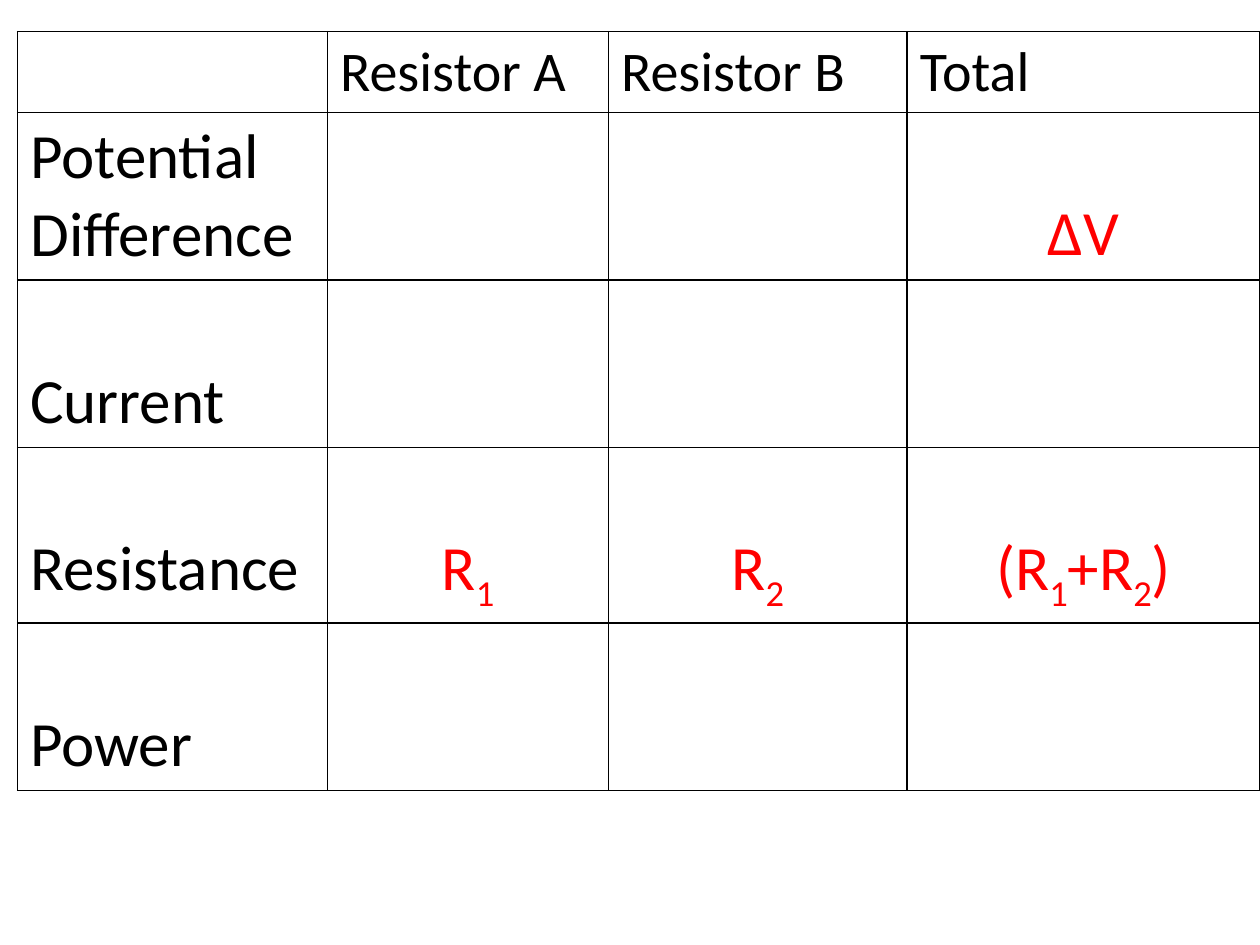
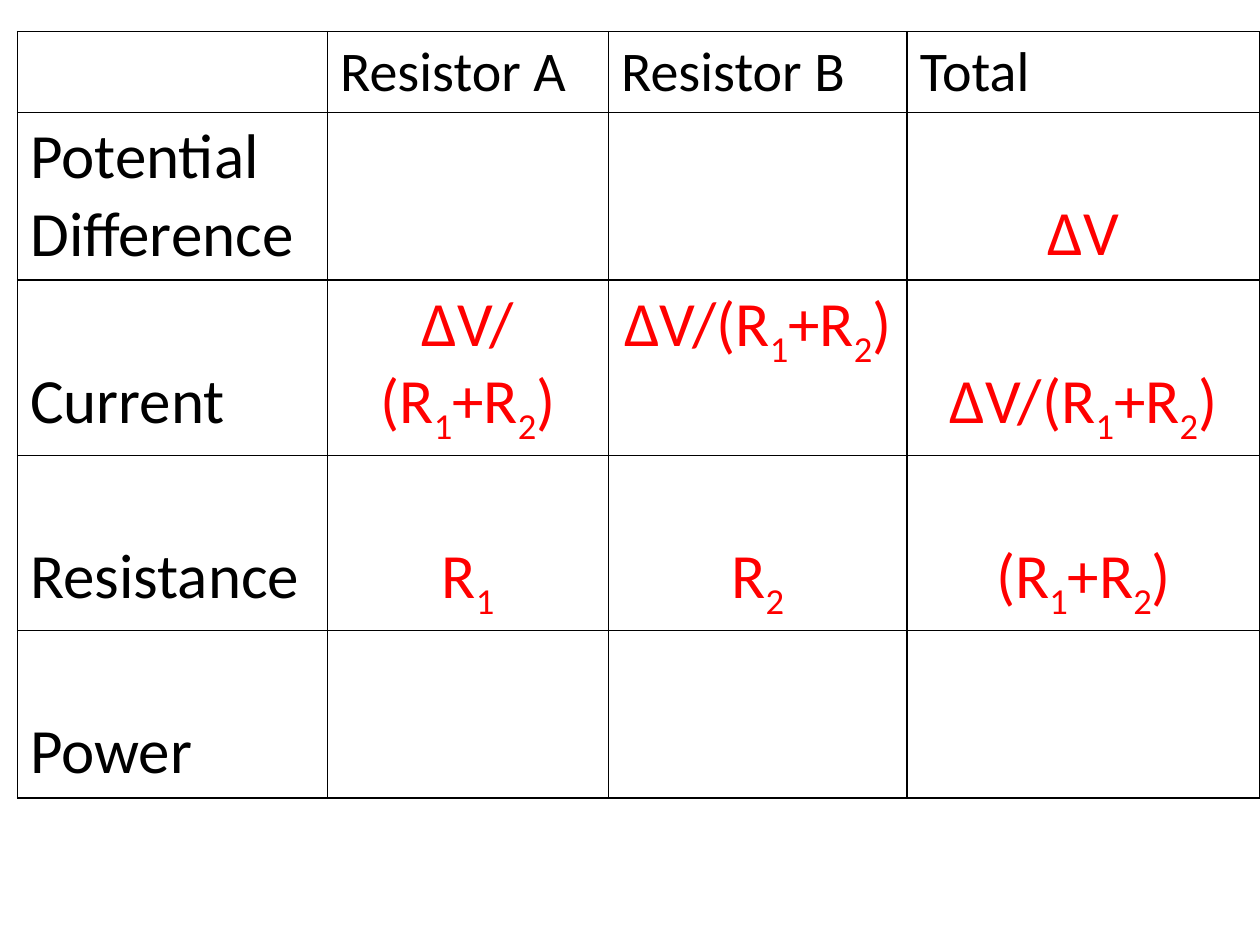
import itertools
import pptx
import pptx.dml.color
import pptx.enum.text
import pptx.oxml
import pptx.oxml.ns
import pptx.util
from dataclasses import dataclass

Inches = pptx.util.Inches
Pt = pptx.util.Pt
Align = pptx.enum.text.PP_ALIGN


@dataclass(frozen=True)
class Theme:
    face: str = "Calibri"
    ink: str = "000000"
    mark: str = "FF0000"
    head: int = 32
    body: int = 36
    sub: int = -25000
    rule: int = 1


THEME = Theme()
WIDTHS = [2.46, 2.23, 2.37, 2.8]
LEFT, TOP = 0.14, 0.25
HEAD, ROW, TALL = 0.64, 1.33, 1.39
PAD, LINE = 0.05, 0.61
SUM = "(R1+R2)"
OHM = "ΔV/" + SUM
HEADS = ["", "Resistor A", "Resistor B", "Total"]
VOLTS = ["Potential Difference", "", "", "ΔV"]
OHMS = ["Resistance", "R1", "R2", SUM]
POWER = ["Power", "", "", ""]
GIVEN = [HEADS, VOLTS, ["Current", "", "", ""], OHMS, POWER]
SOLVED = [HEADS, VOLTS, ["Current", OHM, OHM, OHM], OHMS, POWER]
HIGH = {"Potential Difference", *HEADS}


def apply(item, **look):
    for name, value in look.items():
        setattr(item, name, value)


def border(cell):
    props = cell._tc.get_or_add_tcPr()
    space = pptx.oxml.ns.nsdecls("a")
    for spot, side in enumerate(("lnL", "lnR", "lnT", "lnB")):
        edge = pptx.oxml.parse_xml(
            f'<a:{side} {space} w="{Pt(THEME.rule)}"><a:solidFill>'
            f'<a:srgbClr val="{THEME.ink}"/></a:solidFill></a:{side}>')
        props.insert(spot, edge)


def write(cell, text, size, color, align):
    para = cell.text_frame.paragraphs[0]
    para.alignment = align
    for low, chars in itertools.groupby(text, str.isdigit):
        run = para.add_run()
        run.text = "".join(chars)
        apply(run.font, name=THEME.face, size=Pt(size), bold=False)
        run.font.color.rgb = pptx.dml.color.RGBColor.from_string(color)
        if low:
            run.font._element.set("baseline", str(THEME.sub))


def fill(cell, text, row, col):
    cell.fill.background()
    border(cell)
    wide = row == 2 and col in (1, 2)
    drop = 0 if text in HIGH or wide else LINE
    apply(cell, margin_top=Inches(PAD + drop), margin_bottom=Inches(PAD),
          margin_left=Inches(0.1), margin_right=Inches(0.1))
    size = THEME.body if row else THEME.head
    value = row > 0 and col > 0
    color = THEME.mark if value else THEME.ink
    write(cell, text, size, color, Align.CENTER if value else Align.LEFT)


def height(row, texts):
    if row == 0:
        return HEAD
    return TALL if any("R1" in text for text in texts) else ROW


def grid(slide, rows):
    tall = [height(row, texts) for row, texts in enumerate(rows)]
    frame = slide.shapes.add_table(
        len(rows), len(WIDTHS), Inches(LEFT), Inches(TOP),
        Inches(sum(WIDTHS)), Inches(sum(tall)))
    table = frame.table
    apply(table, first_row=False, horz_banding=False)
    for col, width in zip(table.columns, WIDTHS):
        col.width = Inches(width)
    for row, texts in enumerate(rows):
        table.rows[row].height = Inches(tall[row])
        for col, text in enumerate(texts):
            fill(table.cell(row, col), text, row, col)


def main():
    deck = pptx.Presentation()
    apply(deck, slide_width=Inches(10), slide_height=Inches(7.5))
    for rows in (GIVEN, SOLVED):
        grid(deck.slides.add_slide(deck.slide_layouts[6]), rows)
    deck.save("out.pptx")


if __name__ == "__main__":
    main()
